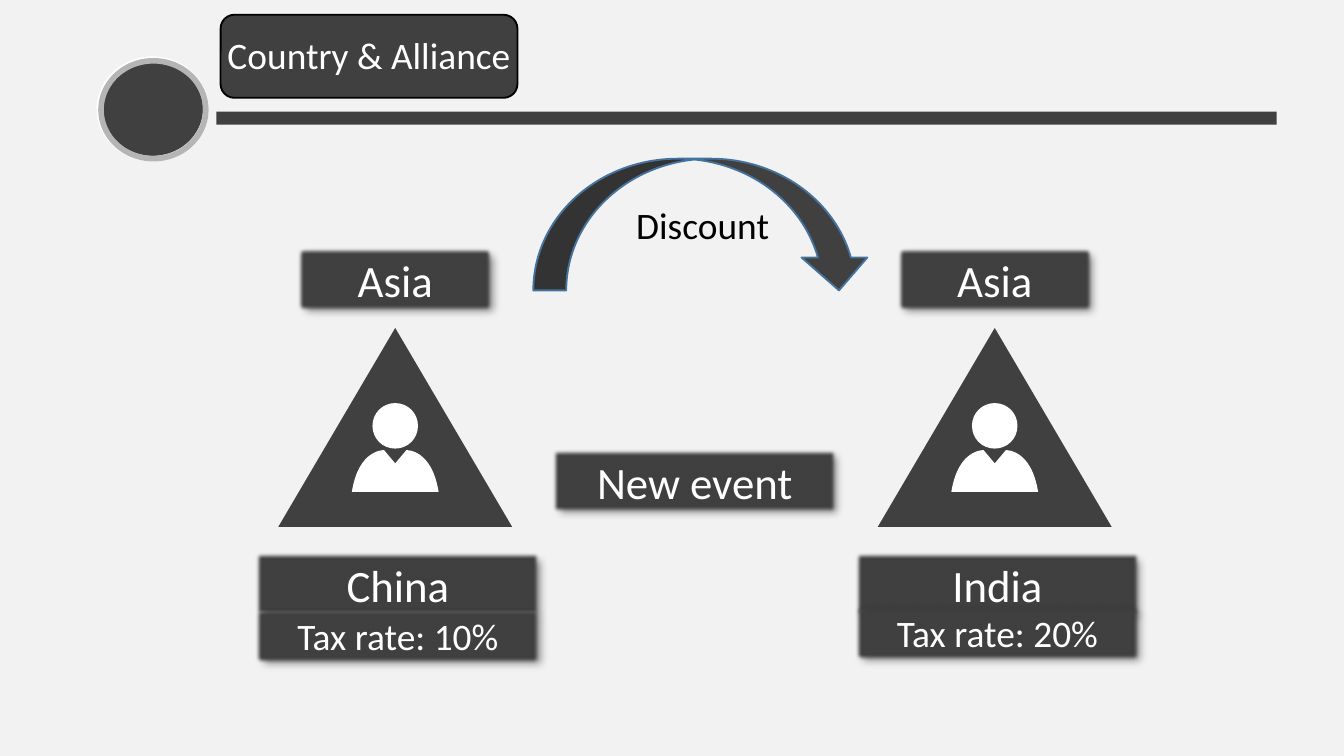
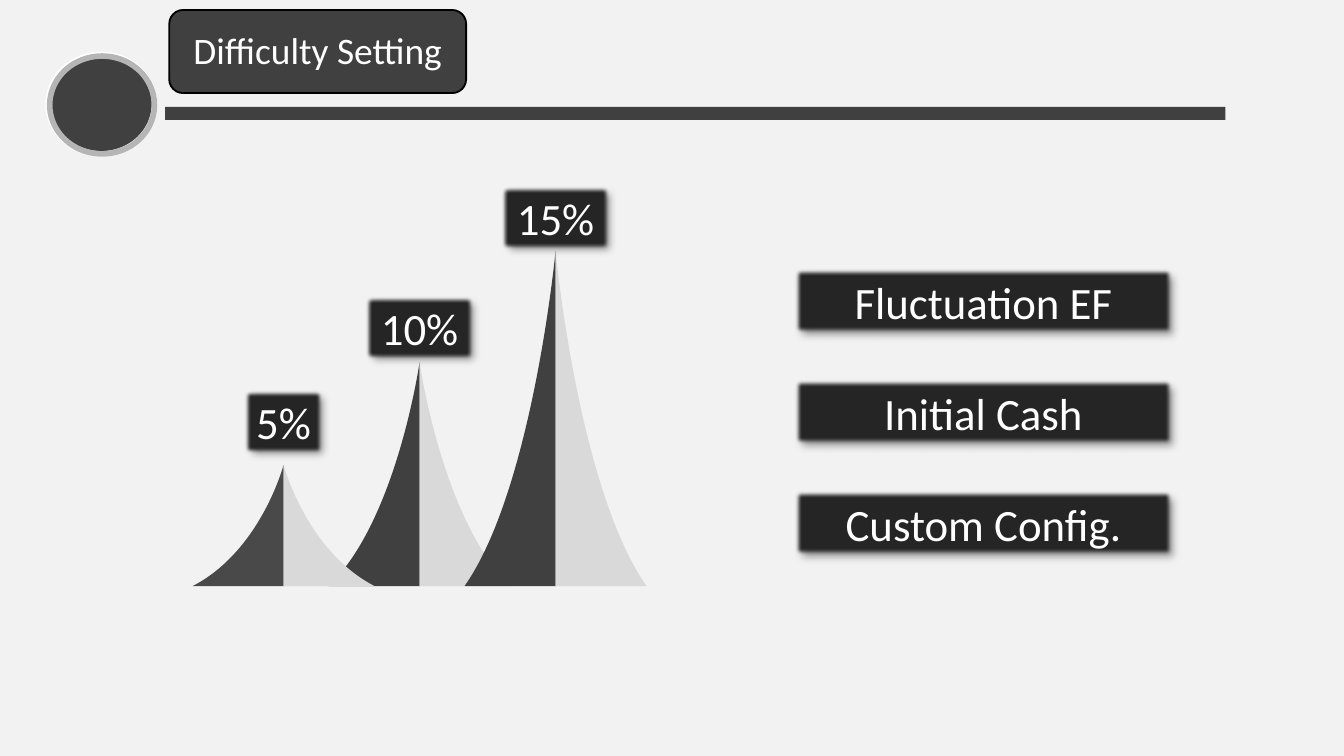
from lxml import etree
from pptx import Presentation
from pptx import util as u
from pptx.dml.color import RGBColor
from pptx.enum import shapes, text
from pptx.oxml import parse_xml
from pptx.oxml.ns import qn

FONT = "Calibri"
COLOURS = {
    "background": "F2F2F2",
    "dark": "404040",
    "darker": "262626",
    "light": "D9D9D9",
    "ring": "B5B5B5",
    "arrow_line": "43739E",
    "white": "FFFFFF",
    "black": "000000",
}
LABEL_EFFECTS = (
    '<a:effectLst xmlns:a="http://schemas.openxmlformats.org/drawingml/2006/main">'
    '<a:outerShdw blurRad="50800" dist="38100" dir="2700000" algn="tl" rotWithShape="0">'
    '<a:srgbClr val="000000"><a:alpha val="40000"/></a:srgbClr></a:outerShdw>'
    '<a:softEdge rad="31750"/></a:effectLst>'
)


def colour(name):
    """Return the named colour."""
    return RGBColor.from_string(COLOURS[name])


def paint(shape, fill=None, line=None, line_width=1):
    """Set fill and line, and drop the shadow."""
    shape.shadow.inherit = False
    if fill:
        shape.fill.solid()
        shape.fill.fore_color.rgb = colour(fill)
    else:
        shape.fill.background()
    if line:
        shape.line.color.rgb = colour(line)
        shape.line.width = u.Pt(line_width)
    else:
        shape.line.fill.background()


def add_shape(slide, kind, left, top, width, height, **look):
    """Add a painted preset shape, measured in centimetres."""
    shape = slide.shapes.add_shape(kind, u.Cm(left), u.Cm(top), u.Cm(width), u.Cm(height))
    paint(shape, **look)
    return shape


def write(shape, words, size, ink="white"):
    """Write one centred paragraph into a shape."""
    shape.text_frame.text = words
    paragraph = shape.text_frame.paragraphs[0]
    paragraph.alignment = text.PP_ALIGN.CENTER
    paragraph.font.name = FONT
    paragraph.font.size = u.Pt(size)
    paragraph.font.color.rgb = colour(ink)


def add_label(slide, words, left, top, width, height=1.27, size=24, fill="dark"):
    """Add a soft-edged rectangle with a shadow and one line of text."""
    label = add_shape(slide, shapes.MSO_SHAPE.RECTANGLE, left, top, width, height, fill=fill)
    properties = label._element.spPr
    properties.replace(properties.find(qn("a:effectLst")), parse_xml(LABEL_EFFECTS))
    write(label, words, size)
    label.text_frame.word_wrap = True


def bend_lines(outline):
    """Turn every three successive line points into one cubic curve."""
    run = []
    for segment in list(outline._element.iter(qn("a:moveTo"), qn("a:lnTo"))):
        run = run + [segment] if segment.tag == qn("a:lnTo") else []
        if len(run) == 3:
            cubic = etree.Element(qn("a:cubicBezTo"))
            run[0].addprevious(cubic)
            for line in run:
                cubic.append(line[0])
                line.getparent().remove(line)
            run = []


def add_outline(slide, contours, left, top, fill):
    """Add a filled freeform from curve points relative to a corner."""
    placed = [[(u.Cm(left + x), u.Cm(top + y)) for x, y in contour] for contour in contours]
    builder = slide.shapes.build_freeform(*placed[0][0], scale=1.0)
    for index, contour in enumerate(placed):
        if index:
            builder.move_to(*contour[0])
        builder.add_line_segments(contour[1:], close=True)
    outline = builder.convert_to_shape()
    bend_lines(outline)
    paint(outline, fill=fill)
    return outline


def add_header(slide, words, left, top):
    """Add the bar, tab, disc and title, with the disc at the given corner."""
    kinds = shapes.MSO_SHAPE
    add_shape(slide, kinds.RECTANGLE, left + 2.21, top + 0.99, 20.04, 0.25, fill="dark")
    add_shape(slide, kinds.ROUNDED_RECTANGLE, left + 2.29, top - 0.84, 5.61, 1.57,
              fill="dark", line="black")
    add_shape(slide, kinds.OVAL, left, top + 0.05, 2.01, 1.8, fill="dark")
    add_shape(slide, kinds.OVAL, left, top, 2.01, 1.88, line="white", line_width=3)
    add_shape(slide, kinds.OVAL, left + 0.03, top + 0.03, 1.98, 1.85, line="ring", line_width=3)
    title = slide.shapes.title
    title.left, title.top = u.Cm(left + 1.88), u.Cm(top - 0.64)
    title.width, title.height = u.Cm(6.43), u.Cm(2.31)
    title.text_frame.vertical_anchor = text.MSO_ANCHOR.TOP
    title.text_frame.auto_size = text.MSO_AUTO_SIZE.NONE
    title.text_frame.word_wrap = True
    write(title, words, 20)
    slide.shapes._spTree.append(title._element)


def add_person(slide, left, top):
    """Add a white head and shoulders."""
    middle, radius, pull = 0.82, 0.43, 0.24
    quarters = [(0, 1), (pull / radius, 1), (1, pull / radius), (1, 0),
                (1, -pull / radius), (pull / radius, -1), (0, -1)]
    circle = quarters + [(-x, -y) for x, y in quarters[1:]]
    head = [(middle + radius * x, radius + radius * y) for x, y in circle]
    collar, neck, base = (0.61, 0.89), (middle, 1.14), 1.68
    right_collar = (2 * middle - collar[0], collar[1])
    body = [right_collar] + [neck] * 3 + [collar] * 3
    body += [collar, (0.13, 0.86), (0, base)] + [(2 * middle, base)] * 3
    body += [(2 * middle - 0.13, 0.86), right_collar, right_collar]
    add_outline(slide, [head, body], left, top, "white")


def add_country(slide, left, top, country, tax, tax_top):
    """Add a region label, a person in a triangle, a country and its tax rate."""
    add_shape(slide, shapes.MSO_SHAPE.ISOSCELES_TRIANGLE, left + 0.46, top + 1.55, 4.42, 3.76,
              fill="dark")
    add_person(slide, left + 1.85, top + 2.97)
    add_label(slide, country, left, top + 5.76, 5.44)
    add_label(slide, "Asia", left + 0.79, top, 3.76)
    add_label(slide, tax, left, top + tax_top, 5.44, height=1.12, size=20)


def add_peak(slide, middle, base, height, alpha=None):
    """Add a two-tone peak standing on the base line."""
    for side, fill in ((-1, "dark"), (1, "light")):
        slope = [(0, 0), (0, 0), (side * 0.43, 0.71 * height), (side * 1.72, height)]
        face = add_outline(slide, [slope + [(0, height)] * 3], middle, base - height, fill)
        if alpha and side < 0:
            tint = face._element.spPr.find(qn("a:solidFill"))[0]
            etree.SubElement(tint, qn("a:alpha")).set("val", str(alpha * 1000))


def build_country_slide(slide):
    """Build the slide on countries and alliances."""
    add_header(slide, "Country & Alliance", 1.88, 1.12)
    add_country(slide, 4.8, 4.65, "China", "Tax rate: 10%", 6.81)
    add_country(slide, 16.13, 4.65, "India", "Tax rate: 20%", 6.75)
    arrow = add_shape(slide, shapes.MSO_SHAPE.CURVED_DOWN_ARROW, 10.08, 3, 6.4, 2.49,
                      fill="dark", line="arrow_line")
    write(arrow, "Discount", 20, "black")
    add_label(slide, "New event", 10.41, 8.46, 5.44)


def build_difficulty_slide(slide):
    """Build the slide on difficulty settings."""
    first, step, base = 5.36, 2.57, 11.08
    add_peak(slide, first + step, base, 4.23)
    add_peak(slide, first + 2 * step, base, 6.33)
    add_peak(slide, first, base, 2.29, alpha=95)
    for row, words in enumerate(("Fluctuation EF", "Initial Cash", "Custom Config.")):
        add_label(slide, words, 14.99, 5.06 + 2.1 * row, 7.19, fill="darker")
    percentages = (("5%", 7.34, 1.55), ("10%", 5.56, 2.11), ("15%", 3.48, 2.11))
    for column, (words, top, width) in enumerate(percentages):
        add_label(slide, words, first + column * step - width / 2, top, width, fill="darker")
    add_header(slide, "Difficulty Setting", 0.91, 1.03)


def main():
    """Build and save the presentation."""
    presentation = Presentation()
    presentation.slide_width, presentation.slide_height = u.Cm(25.4), u.Cm(14.29)
    background = presentation.slide_master.background.fill
    background.solid()
    background.fore_color.rgb = colour("background")
    title_only = presentation.slide_layouts[5]
    for build in (build_country_slide, build_difficulty_slide):
        build(presentation.slides.add_slide(title_only))
    presentation.save("out.pptx")


if __name__ == "__main__":
    main()
